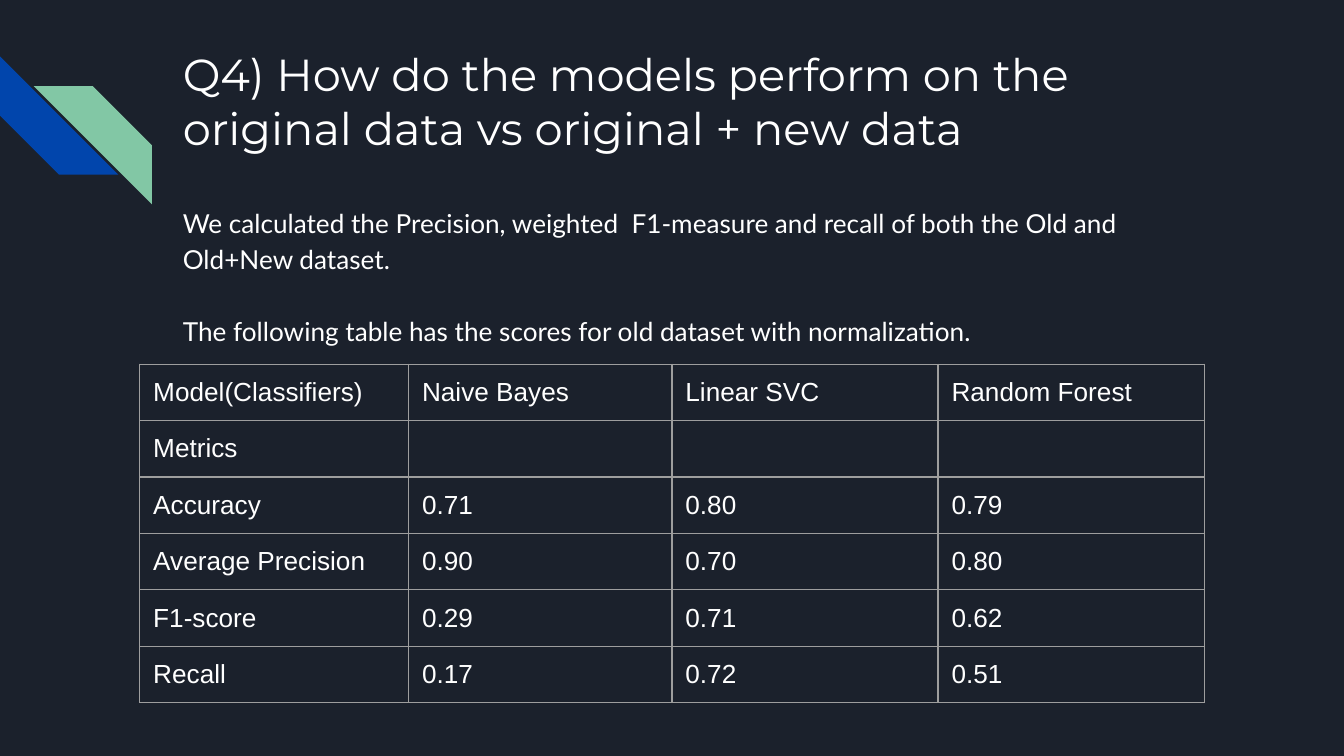
import dataclasses
import pptx
import pptx.dml.color
import pptx.enum.shapes
import pptx.enum.text
import pptx.oxml
import pptx.oxml.ns
import pptx.util
from lxml import etree

Inches = pptx.util.Inches
Pt = pptx.util.Pt
RGBColor = pptx.dml.color.RGBColor
qn = pptx.oxml.ns.qn

NAVY = RGBColor(0x1B, 0x21, 0x2C)
BLUE = RGBColor(0x01, 0x45, 0xAC)
GREEN = RGBColor(0x82, 0xC7, 0xA5)
WHITE = RGBColor(0xFF, 0xFF, 0xFF)
GRAY = RGBColor(0x9E, 0x9E, 0x9E)

TITLE = "Q4) How do the models perform on the original data vs original + new data"
BODY = (
    "We calculated the Precision, weighted  F1-measure and recall of both the Old and Old+New dataset.",
    "The following table has the scores for old dataset with normalization.",
)
SCORES = (
    ("Model(Classifiers)", "Naive Bayes", "Linear SVC", "Random Forest"),
    ("Metrics", "", "", ""),
    ("Accuracy", "0.71", "0.80", "0.79"),
    ("Average Precision", "0.90", "0.70", "0.80"),
    ("F1-score", "0.29", "0.71", "0.62"),
    ("Recall", "0.17", "0.72", "0.51"),
)
WIDTHS = (2, 1.96, 1.98, 1.98)
ROW = 0.42
WIDE = 10


@dataclasses.dataclass(frozen=True)
class Stripe:
    left: float
    top: float
    color: RGBColor
    turn: int = 0
    flip: bool = False


STRIPES = (
    Stripe(0, 0.42, BLUE, turn=270),
    Stripe(0.25, 0.64, GREEN, flip=True),
)


def write(para, text: str, *, font: str = "Arial", size: float = 14,
          line: float = 1.0, before: float = 0) -> None:
    para.alignment = pptx.enum.text.PP_ALIGN.LEFT
    para.line_spacing = line
    para.space_before = Pt(before)
    if not text:
        end = etree.SubElement(para._p, qn("a:endParaRPr"), sz=str(int(size * 100)))
        etree.SubElement(end, qn("a:latin"), typeface=font)
        return
    run = para.add_run()
    run.text = text
    run.font.name = font
    run.font.size = Pt(size)
    run.font.color.rgb = WHITE


def place(shape, left: float, top: float, width: float, height: float):
    shape.left, shape.top = Inches(left), Inches(top)
    shape.width, shape.height = Inches(width), Inches(height)
    frame = shape.text_frame
    frame.word_wrap = True
    frame.auto_size = pptx.enum.text.MSO_AUTO_SIZE.NONE
    frame.vertical_anchor = pptx.enum.text.MSO_ANCHOR.TOP
    frame.margin_left = frame.margin_right = Inches(0.1)
    frame.margin_top = frame.margin_bottom = Inches(0.1)
    return frame


def draw_stripe(slide, item: Stripe) -> None:
    shape = slide.shapes.add_shape(
        pptx.enum.shapes.MSO_SHAPE.DIAGONAL_STRIPE,
        Inches(item.left), Inches(item.top), Inches(0.88), Inches(0.88))
    shape.adjustments[0] = 0.5
    shape.rotation = item.turn
    shape.shadow.inherit = False
    shape.fill.solid()
    shape.fill.fore_color.rgb = item.color
    shape.line.fill.background()
    if item.flip:
        shape._element.spPr.find(qn("a:xfrm")).set("flipH", "1")


def draw_body(slide) -> None:
    frame = place(slide.placeholders[1], 1.26, 1.41, 7.7, 1.13)
    for num, text in enumerate(BODY):
        para = frame.add_paragraph() if num else frame.paragraphs[0]
        write(para, text, font="Lato", line=1.15, before=19.3 if num else 0)
        props = para._p.get_or_add_pPr()
        props.set("marL", "0")
        props.set("indent", "0")
        etree.SubElement(props, qn("a:buNone"))


def edge(cell) -> None:
    props = cell._tc.get_or_add_tcPr()
    for side in "LRTB":
        line = etree.SubElement(props, qn(f"a:ln{side}"), w=str(Pt(0.75)))
        fill = etree.SubElement(line, qn("a:solidFill"))
        etree.SubElement(fill, qn("a:srgbClr"), val=str(GRAY))


def draw_table(slide) -> None:
    table = slide.shapes.add_table(
        len(SCORES), len(WIDTHS), Inches(1.04), Inches(2.71),
        Inches(sum(WIDTHS)), Inches(ROW * len(SCORES))).table
    table.first_row = table.horz_banding = False
    for col, width in zip(table.columns, WIDTHS):
        col.width = Inches(width)
    for row, texts in zip(table.rows, SCORES):
        row.height = Inches(ROW)
        for cell, text in zip(row.cells, texts):
            cell.margin_left = cell.margin_right = Inches(0.1)
            cell.margin_top = cell.margin_bottom = Inches(0.1)
            edge(cell)
            cell.fill.background()
            write(cell.text_frame.paragraphs[0], text)


def main() -> None:
    deck = pptx.Presentation()
    deck.slide_width, deck.slide_height = Inches(WIDE), Inches(WIDE * 9 / 16)
    slide = deck.slides.add_slide(deck.slide_layouts[1])
    slide.background.fill.solid()
    slide.background.fill.fore_color.rgb = NAVY
    for item in STRIPES:
        draw_stripe(slide, item)
    frame = place(slide.shapes.title, 1.26, 0.25, 7.7, 1)
    write(frame.paragraphs[0], TITLE, font="Montserrat", size=24)
    draw_body(slide)
    draw_table(slide)
    deck.save("out.pptx")


if __name__ == "__main__":
    main()
